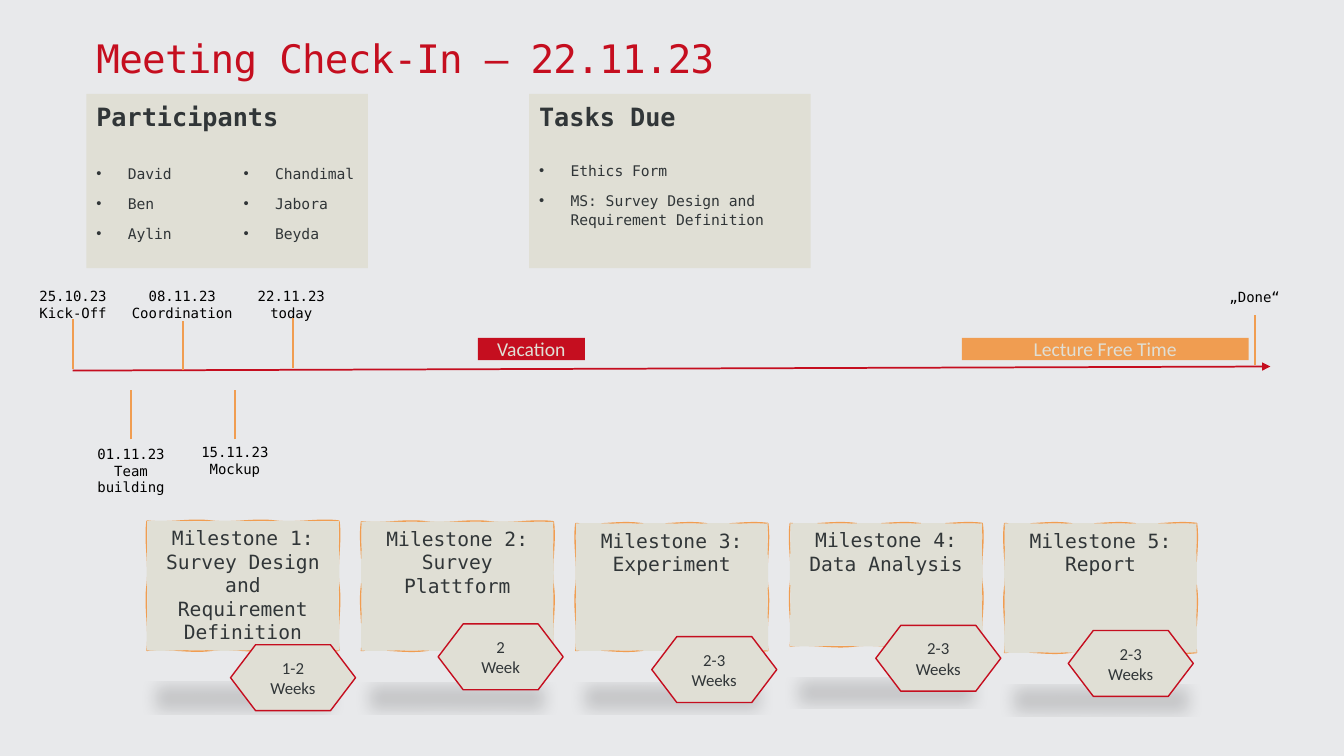
from copy import deepcopy
from dataclasses import dataclass

from lxml.etree import SubElement
from pptx import Presentation
from pptx.dml.color import RGBColor
from pptx.enum.shapes import MSO_CONNECTOR, MSO_SHAPE
from pptx.enum.text import MSO_ANCHOR, MSO_AUTO_SIZE, PP_ALIGN
from pptx.oxml.ns import qn
from pptx.util import Pt


@dataclass(frozen=True)
class Theme:
    mono: str = "DejaVu Sans Mono"
    sans: str = "Calibri"
    back: str = "E8E9EB"
    panel: str = "E0DFD5"
    red: str = "C50E1F"
    orange: str = "F09D51"
    ink: str = "313638"
    black: str = "000000"
    title: float = 28
    heading: float = 18
    card: float = 14
    duration: float = 12
    item: float = 10.5
    date: float = 10


T = Theme()
LABEL_W = 89.3
CARD_X, CARD_W, CARD_PITCH = 105, 137.1, 153.15
HEX_W, HEX_H = 89.3, 47

# Tick centre, tick top, label centre, label top, label
EVENTS = [
    (52.4, 228, 52.2, 202, "25.10.23\vKick-Off"),
    (130.7, 229, 130.2, 202, "08.11.23\vCoordination"),
    (209.3, 227.3, 208.1, 201.8, "22.11.23\vtoday"),
    (896.4, 225.2, 896.2, 202.6, "„Done“"),
    (93.6, 278.3, 93.6, 314.5, "01.11.23\vTeam building"),
    (167.8, 278.3, 167.8, 313.5, "15.11.23\vMockup"),
]
# Card top, card height, text, hexagon left, hexagon top, duration
MILESTONES = [
    (372.2, 92.4, "Milestone 1:\vSurvey Design and Requirement Definition",
     164.7, 460.6, ["1-2 Weeks"]),
    (372.7, 92, "Milestone 2:\vSurvey Plattform", 313, 445.7, ["2", "Week"]),
    (373.9, 90.8, "Milestone 3:\vExperiment", 465.6, 454.8, ["2-3 Weeks"]),
    (373.9, 87.6, "Milestone 4:\vData Analysis", 625.6, 446.7, ["2-3 Weeks"]),
    (373.9, 92.2, "Milestone 5:\vReport", 763.1, 450.4, ["2-3 Weeks"]),
]


def rgb(code):
    return RGBColor.from_string(code)


def write(sp, paragraphs, size, font=T.mono, color=T.ink, bold=False, spacing=None,
          align=PP_ALIGN.LEFT, anchor=MSO_ANCHOR.TOP, line=None, after=None,
          bullet=False, columns=1, grow=False):
    """Fill a shape with formatted paragraphs; a vertical tab breaks a line."""
    tf = sp.text_frame
    tf.word_wrap = True
    tf.vertical_anchor = anchor
    tf.auto_size = MSO_AUTO_SIZE.SHAPE_TO_FIT_TEXT if grow else MSO_AUTO_SIZE.NONE
    if columns > 1:
        tf._txBody.bodyPr.set("numCol", str(columns))
    for i, text in enumerate(paragraphs):
        p = tf.add_paragraph() if i else tf.paragraphs[0]
        p.text = text
        p.alignment = align
        if line:
            p.line_spacing = line
        if after:
            p.space_after = Pt(after)
        if bullet:
            pPr = p._p.get_or_add_pPr()
            pPr.set("marL", str(Pt(22.5)))
            pPr.set("indent", str(-Pt(22.5)))
            SubElement(pPr, qn("a:buFont"), typeface="Arial")
            SubElement(pPr, qn("a:buChar"), char="•")
        for r in p.runs:
            r.font.name, r.font.size, r.font.bold = font, Pt(size), bold
            r.font.color.rgb = rgb(color)
            if spacing:
                r._r.get_or_add_rPr().set("spc", str(int(spacing * 100)))
        for br in p._p.findall(qn("a:br")):
            br.append(deepcopy(p.runs[0]._r.rPr))


def text_box(s, x, y, w, h, paragraphs, size, **fmt):
    sp = s.shapes.add_textbox(Pt(x), Pt(y), Pt(w), Pt(h))
    write(sp, paragraphs, size, **fmt)


def paint(sp, fill, line=None):
    sp.shadow.inherit = False
    sp.fill.solid()
    sp.fill.fore_color.rgb = rgb(fill)
    if line:
        sp.line.color.rgb = rgb(line)
        sp.line.width = Pt(1)
    else:
        sp.line.fill.background()


def box(s, kind, x, y, w, h, fill, line=None):
    sp = s.shapes.add_shape(kind, Pt(x), Pt(y), Pt(w), Pt(h))
    paint(sp, fill, line)
    return sp


def stroke(s, x1, y1, x2, y2, color, arrow=False):
    c = s.shapes.add_connector(MSO_CONNECTOR.STRAIGHT, Pt(x1), Pt(y1), Pt(x2), Pt(y2))
    c.line.color.rgb = rgb(color)
    c.line.width = Pt(1.25)
    if arrow:
        SubElement(c.line._get_or_add_ln(), qn("a:tailEnd"), type="triangle")
    SubElement(c._element.spPr, qn("a:effectLst"))


def panel(s, x, heading, list_top, list_w, items):
    box(s, MSO_SHAPE.RECTANGLE, x, 67, 201, 124.5, T.panel)
    text_box(s, x, 67, 163, 29, [heading], T.heading, bold=True, line=1.07, grow=True)
    text_box(s, x, list_top, list_w, 74, items, T.item,
             line=1.07, after=8, bullet=True, columns=2)


def bend(outline, swing):
    """Turn the straight segments of an outline into gentle waves."""
    x1, y1 = 0, 0
    for segment in outline.findall(qn("a:lnTo")):
        pt = segment[0]
        x2, y2 = int(pt.get("x")), int(pt.get("y"))
        segment.tag = qn("a:cubicBezTo")
        for i, (t, d) in enumerate([(1 / 3, swing), (2 / 3, -swing)]):
            dx, dy = (0, d) if y1 == y2 else (d, 0)
            control = deepcopy(pt)
            control.set("x", str(int(x1 + (x2 - x1) * t + dx)))
            control.set("y", str(int(y1 + (y2 - y1) * t + dy)))
            segment.insert(i, control)
        x1, y1 = x2, y2


def sketched_card(s, x, y, w, h, text):
    """Draw a hand-drawn card: a wavy line, then a fill that waves the other way."""
    corners = [(x, y), (x + w, y), (x + w, y + h), (x, y + h)]
    points = []
    for (x1, y1), (x2, y2) in zip(corners, corners[1:] + corners[:1]):
        parts = 3 if y1 == y2 else 2
        for k in range(1, parts + 1):
            points.append((Pt(x1 + (x2 - x1) * k / parts), Pt(y1 + (y2 - y1) * k / parts)))
    builder = s.shapes.build_freeform(*points[-1])
    builder.add_line_segments(points, close=True)
    sp = builder.convert_to_shape()
    paint(sp, T.panel, T.orange)
    outline = sp._element.find(".//" + qn("a:path"))
    filling = deepcopy(outline)
    outline.addnext(filling)
    outline.set("fill", "none")
    filling.set("stroke", "0")
    bend(outline, Pt(2))
    bend(filling, -Pt(1))
    # Flattened soft shadow below the card
    shadow = SubElement(sp._element.spPr.find(qn("a:effectLst")), qn("a:outerShdw"),
                        blurRad=str(Pt(12)), dist=str(Pt(25)), dir="5400000",
                        sx="90000", sy="-19000", rotWithShape="0")
    color = SubElement(shadow, qn("a:srgbClr"), val=T.black)
    SubElement(color, qn("a:alpha"), val="15000")
    write(sp, [text], T.card, align=PP_ALIGN.CENTER)


def period(s, x, w, text, fill):
    sp = box(s, MSO_SHAPE.RECTANGLE, x, 241.3, w, 16, fill)
    write(sp, [text], T.card, font=T.sans, color=T.panel,
          align=PP_ALIGN.CENTER, anchor=MSO_ANCHOR.MIDDLE)


def event(s, x, tick_top, label_x, label_top, label):
    stroke(s, x, tick_top + 35.5, x, tick_top, T.orange)
    text_box(s, label_x - LABEL_W / 2, label_top, LABEL_W, 31.5, [label], T.date,
             color=T.black, align=PP_ALIGN.CENTER, grow=True)


def main():
    prs = Presentation()
    prs.slide_width, prs.slide_height = Pt(960), Pt(540)
    s = prs.slides.add_slide(prs.slide_layouts[5])
    s.background.fill.solid()
    s.background.fill.fore_color.rgb = rgb(T.back)

    # Title
    title = s.shapes.title
    title.left, title.top, title.width, title.height = Pt(61.7), Pt(21), Pt(480), Pt(41)
    write(title, ["Meeting Check-In – 22.11.23"], T.title, color=T.red, spacing=-0.5)

    # Participants and tasks
    panel(s, 61.7, "Participants", 113, 224.6,
          ["David", "Ben", "Aylin", "Chandimal", "Jabora", "Beyda"])
    panel(s, 378, "Tasks Due", 111, 336,
          ["Ethics Form", "MS: Survey Design and Requirement Definition"])

    # Timeline
    stroke(s, 51.8, 264.7, 907.5, 261.8, T.red, arrow=True)
    for item in EVENTS:
        event(s, *item)
    period(s, 341.3, 76.5, "Vacation", T.red)
    period(s, 687, 205, "Lecture Free Time", T.orange)

    # Milestones with their durations
    for i, (top, height, text, hex_x, hex_y, duration) in enumerate(MILESTONES):
        sketched_card(s, CARD_X + i * CARD_PITCH, top, CARD_W, height, text)
        sp = box(s, MSO_SHAPE.FLOWCHART_PREPARATION, hex_x, hex_y, HEX_W, HEX_H,
                 T.panel, T.red)
        write(sp, duration, T.duration, font=T.sans,
              align=PP_ALIGN.CENTER, anchor=MSO_ANCHOR.MIDDLE)

    prs.save("out.pptx")


if __name__ == "__main__":
    main()
